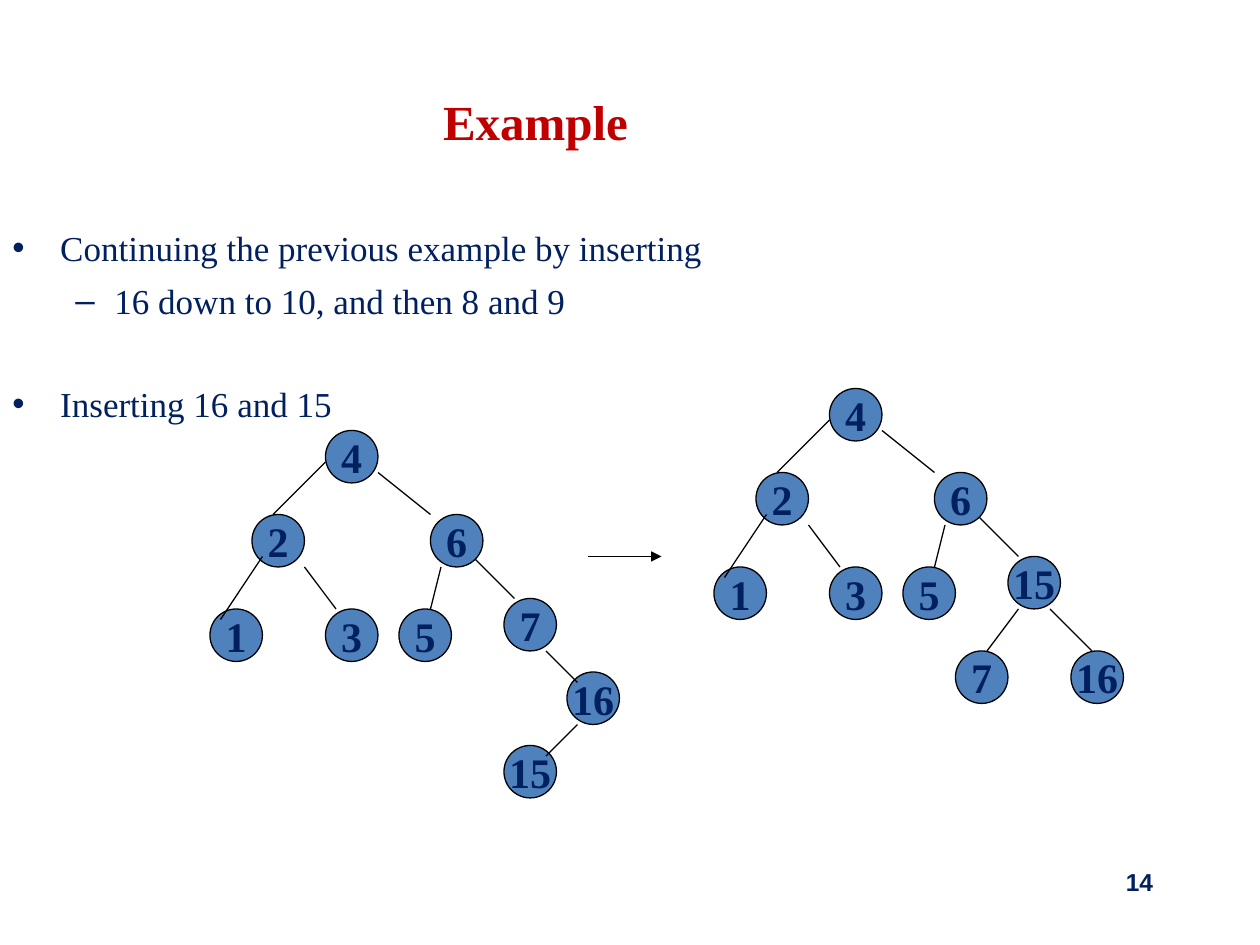
import pptx
import pptx.dml.color
import pptx.enum.shapes
import pptx.enum.text
import pptx.oxml.ns
import pptx.util
import lxml.etree

RGBColor = pptx.dml.color.RGBColor
PP_ALIGN = pptx.enum.text.PP_ALIGN
MSO_ANCHOR = pptx.enum.text.MSO_ANCHOR
Pt = pptx.util.Pt
qn = pptx.oxml.ns.qn

NAVY = RGBColor(0x00, 0x20, 0x60)
RED = RGBColor(0xC0, 0x00, 0x00)
BLUE = RGBColor(0x4F, 0x81, 0xBD)
BLACK = RGBColor(0x00, 0x00, 0x00)

CELL = pptx.util.Inches(1) // 12  # the grid has 120 columns and 90 rows
NODE = 5                          # node diameter in cells


class TreeSlide:
    """Style and drawing methods; all positions are grid cells."""
    serif = "Times New Roman"
    sans = "Arial"
    line_width = Pt(0.75)

    def __init__(self, prs):
        self.slide = prs.slides.add_slide(prs.slide_layouts[6])

    def run(self, p, text, size, color=NAVY, bold=False, font=serif):
        r = p.add_run()
        r.text = text
        r.font.name, r.font.size, r.font.bold = font, Pt(size), bold
        r.font.color.rgb = color

    def box(self, x, y, w, h, anchor=MSO_ANCHOR.TOP):
        sp = self.slide.shapes.add_textbox(*(v * CELL for v in (x, y, w, h)))
        tf = sp.text_frame
        tf.word_wrap = True
        tf.vertical_anchor = anchor
        return tf

    def label(self, x, y, w, h, text, align, anchor=MSO_ANCHOR.TOP, **style):
        p = self.box(x, y, w, h, anchor).paragraphs[0]
        p.alignment = align
        self.run(p, text, bold=True, **style)

    def bullets(self, x, y, w, h, items):
        tf = self.box(x, y, w, h)
        for i, (text, level, before) in enumerate(items):
            p = tf.paragraphs[0] if i == 0 else tf.add_paragraph()
            p.level = level
            p.space_before = Pt(before)
            char, margin, indent = (("•", 0.38, -0.38), ("–", 0.81, -0.31))[level]
            pPr = p._p.get_or_add_pPr()
            pPr.set("marL", str(pptx.util.Inches(margin)))
            pPr.set("indent", str(pptx.util.Inches(indent)))
            color = lxml.etree.SubElement(pPr, qn("a:buClr"))
            lxml.etree.SubElement(color, qn("a:srgbClr"), val=str(NAVY))
            lxml.etree.SubElement(pPr, qn("a:buFont"), typeface=self.sans)
            lxml.etree.SubElement(pPr, qn("a:buChar"), char=char)
            self.run(p, text, 20)

    def node(self, x, y, key):
        sp = self.slide.shapes.add_shape(
            pptx.enum.shapes.MSO_SHAPE.OVAL,
            x * CELL, y * CELL, NODE * CELL, NODE * CELL)
        sp.shadow.inherit = False
        sp.fill.solid()
        sp.fill.fore_color.rgb = BLUE
        sp.line.color.rgb = BLACK
        sp.line.width = self.line_width
        tf = sp.text_frame
        tf.word_wrap = False
        tf.vertical_anchor = MSO_ANCHOR.MIDDLE
        p = tf.paragraphs[0]
        p.alignment = PP_ALIGN.CENTER
        self.run(p, str(key), 24, bold=True)

    def edge(self, x1, y1, x2, y2, arrow=False):
        cn = self.slide.shapes.add_connector(
            pptx.enum.shapes.MSO_CONNECTOR.STRAIGHT,
            x1 * CELL, y1 * CELL, x2 * CELL, y2 * CELL)
        cn.line.color.rgb = BLACK
        cn.line.width = self.line_width
        if arrow:
            lxml.etree.SubElement(cn.line._get_or_add_ln(), qn("a:tailEnd"), type="triangle")
        lxml.etree.SubElement(cn._element.spPr, qn("a:effectLst"))

    def tree(self, x, y, nodes, edges):
        """Draw a tree whose parts are given relative to its root at (x, y)."""
        self.edge(x + 14, y + 12, x + 18, y + 16)  # lies behind its parent node
        for key, dx, dy in nodes:
            self.node(x + dx, y + dy, key)
        for x1, y1, x2, y2 in edges:
            self.edge(x + x1, y + y1, x + x2, y + y2)


# Nodes are (key, dx, dy) and edges (x1, y1, x2, y2), shared by both trees
COMMON_NODES = [(4, 0, 0), (2, -7, 8), (6, 10, 8), (1, -11, 17), (3, 0, 17), (5, 7, 17)]
COMMON_EDGES = [(0, 3, -5, 8), (5, 4, 10, 8), (-6, 12, -10, 18),
                (-2, 13, 1, 17), (11, 13, 10, 17)]


def main():
    prs = pptx.Presentation()
    prs.slide_width, prs.slide_height = 120 * CELL, 90 * CELL
    s = TreeSlide(prs)

    # Text
    s.label(86, 82, 25, 6, "14", PP_ALIGN.RIGHT, size=14, font=s.sans)
    s.label(0, 4, 102, 15, "Example", PP_ALIGN.CENTER, MSO_ANCHOR.MIDDLE,
            size=28, color=RED)
    s.bullets(0, 21, 102, 54, [
        ("Continuing the previous example by inserting", 0, 6),
        ("16 down to 10, and then 8 and 9", 1, 6),
        ("Inserting 16 and 15", 0, 35),
    ])

    # Tree before the rotation
    s.tree(31, 41, COMMON_NODES + [(7, 17, 16), (16, 23, 23), (15, 17, 30)],
           COMMON_EDGES + [(21, 21, 24, 24), (24, 28, 21, 31)])
    s.edge(56, 53, 63, 53, arrow=True)

    # Tree after the rotation
    s.tree(79, 37, COMMON_NODES + [(15, 17, 16), (7, 12, 25), (16, 23, 25)],
           COMMON_EDGES + [(21, 21, 25, 25), (18, 21, 15, 25)])

    prs.save("out.pptx")


if __name__ == "__main__":
    main()
